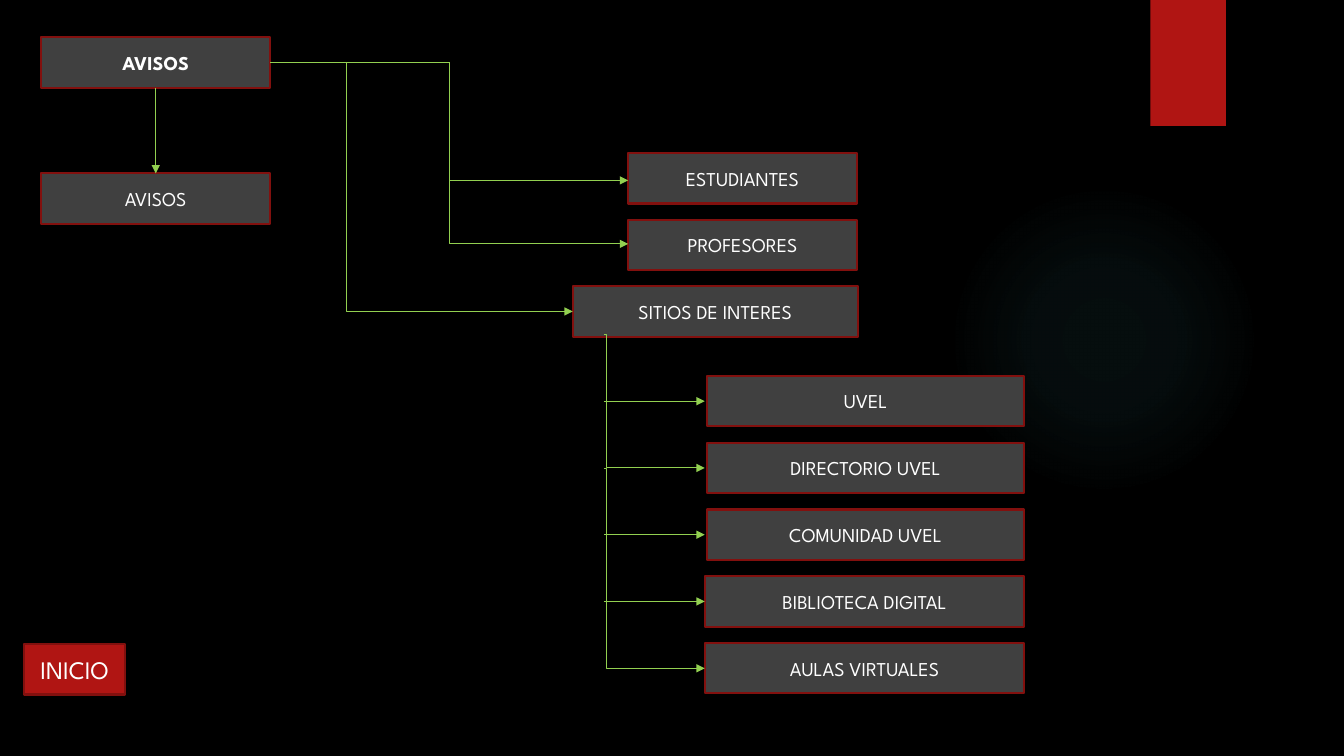
from dataclasses import dataclass

from lxml import etree
from pptx import Presentation
from pptx.dml.color import RGBColor
from pptx.enum import shapes, text
from pptx.oxml import parse_xml
from pptx.oxml.ns import nsdecls, qn
from pptx.util import Inches, Pt


@dataclass(frozen=True)
class Theme:
    background: str = "000000"
    box: str = "404040"
    border: str = "82100E"
    accent: str = "B01513"
    arrow: str = "92D050"
    glow: str = "50B9C1"
    label: str = "FFFFFF"
    font: str = "League Spartan"
    box_size: int = 14
    button_size: int = 18
    border_width: float = 1.5
    arrow_width: float = 0.75


THEME = Theme()
BOX_HEIGHT = 0.5


def rgb(value):
    return RGBColor.from_string(value)


def spaced(first, last, count):
    """Evenly spaced positions from first to last."""
    return [first + (last - first) * i / (count - 1) for i in range(count)]


def add_plain(slide, kind, left, top, width, height, fill):
    sp = slide.shapes.add_shape(
        kind, Inches(left), Inches(top), Inches(width), Inches(height))
    sp.shadow.inherit = False
    sp.fill.solid()
    sp.fill.fore_color.rgb = rgb(fill)
    sp.line.fill.background()
    return sp


def add_box(slide, label, left, top, width, fill=THEME.box,
            size=THEME.box_size, bold=False):
    sp = add_plain(slide, shapes.MSO_SHAPE.RECTANGLE,
                   left, top, width, BOX_HEIGHT, fill)
    sp.line.color.rgb = rgb(THEME.border)
    sp.line.width = Pt(THEME.border_width)
    tf = sp.text_frame
    tf.word_wrap = True
    tf.vertical_anchor = text.MSO_ANCHOR.MIDDLE
    p = tf.paragraphs[0]
    p.alignment = text.PP_ALIGN.CENTER
    r = p.add_run()
    r.text = label
    r.font.name = THEME.font
    r.font.size = Pt(size)
    r.font.bold = bold
    r.font.color.rgb = rgb(THEME.label)
    return sp


def add_arrow(slide, kind, start, end):
    cn = slide.shapes.add_connector(
        kind, *(Inches(v) for v in (*start, *end)))
    cn.line.color.rgb = rgb(THEME.arrow)
    cn.line.width = Pt(THEME.arrow_width)
    etree.SubElement(cn.line._get_or_add_ln(), qn("a:tailEnd"), type="triangle")
    etree.SubElement(cn._element.spPr, qn("a:effectLst"))
    return cn


def add_elbow(slide, start, end, bend):
    """Elbow arrow that turns at the given fraction of its width."""
    cn = add_arrow(slide, shapes.MSO_CONNECTOR.ELBOW, start, end)
    geometry = cn._element.spPr.find(qn("a:prstGeom"))
    guides = geometry.find(qn("a:avLst"))
    if guides is None:
        guides = etree.SubElement(geometry, qn("a:avLst"))
    etree.SubElement(guides, qn("a:gd"), name="adj1",
                     fmla=f"val {round(bend * 100000)}")


def add_glow(slide, left, top, size):
    sp = add_plain(slide, shapes.MSO_SHAPE.OVAL, left, top, size, size, THEME.glow)
    stops = "".join(
        f'<a:gs pos="{pos * 1000}"><a:srgbClr val="{THEME.glow}">'
        f'<a:alpha val="{alpha * 1000}"/></a:srgbClr></a:gs>'
        for pos, alpha in ((0, 7), (36, 6), (69, 0)))
    gradient = parse_xml(
        f'<a:gradFill {nsdecls("a")}><a:gsLst>{stops}</a:gsLst>'
        '<a:path path="circle"><a:fillToRect l="50000" t="50000" '
        'r="50000" b="50000"/></a:path></a:gradFill>')
    props = sp._element.spPr
    props.replace(props.find(qn("a:solidFill")), gradient)


def main():
    prs = Presentation()
    prs.slide_width, prs.slide_height = Inches(13.33), Inches(7.5)
    slide = prs.slides.add_slide(prs.slide_layouts[6])

    # Backdrop
    slide.background.fill.solid()
    slide.background.fill.fore_color.rgb = rgb(THEME.background)
    add_glow(slide, 9.41, 1.83, 3.08)
    add_plain(slide, shapes.MSO_SHAPE.RECTANGLE, 11.41, 0, 0.75, 1.25, THEME.accent)

    # Section and its notices page
    section = add_box(slide, "AVISOS", 0.41, 0.37, 2.27, bold=True)
    notices = add_box(slide, "AVISOS", 0.41, 1.72, 2.27)
    down = add_arrow(slide, shapes.MSO_CONNECTOR.STRAIGHT, (1.55, 0.87), (1.55, 1.72))
    down.begin_connect(section, 2)
    down.end_connect(notices, 0)

    # Audience pages
    audiences = (("ESTUDIANTES", 6.23, 2.27), ("PROFESORES", 6.23, 2.27),
                 ("SITIOS DE INTERES", 5.68, 2.83))
    for (label, left, width), top in zip(audiences, spaced(1.52, 2.84, 3)):
        add_box(slide, label, left, top, width)
    add_elbow(slide, (2.68, 0.62), (6.23, 1.79), 0.5)
    add_elbow(slide, (4.46, 0.62), (6.23, 2.42), 0)
    add_elbow(slide, (3.44, 0.62), (5.68, 3.09), 0)

    # Sites of interest
    sites = (("UVEL", 7.01), ("DIRECTORIO UVEL", 7.01), ("COMUNIDAD UVEL", 7.01),
             ("BIBLIOTECA DIGITAL", 6.99), ("AULAS VIRTUALES", 6.99))
    right_edge = 10.16
    count = len(sites)
    tops = spaced(3.73, 6.38, count)
    branches = spaced(3.32, 5.97, count)
    for (label, left), top, branch in zip(sites, tops, branches):
        add_box(slide, label, left, top, right_edge - left)
        add_elbow(slide, (5.99, branch), (6.99, top + BOX_HEIGHT / 2), 0.03)

    # Home button
    add_box(slide, "INICIO", 0.24, 6.39, 1, THEME.accent, THEME.button_size)

    prs.save("out.pptx")


if __name__ == "__main__":
    main()
